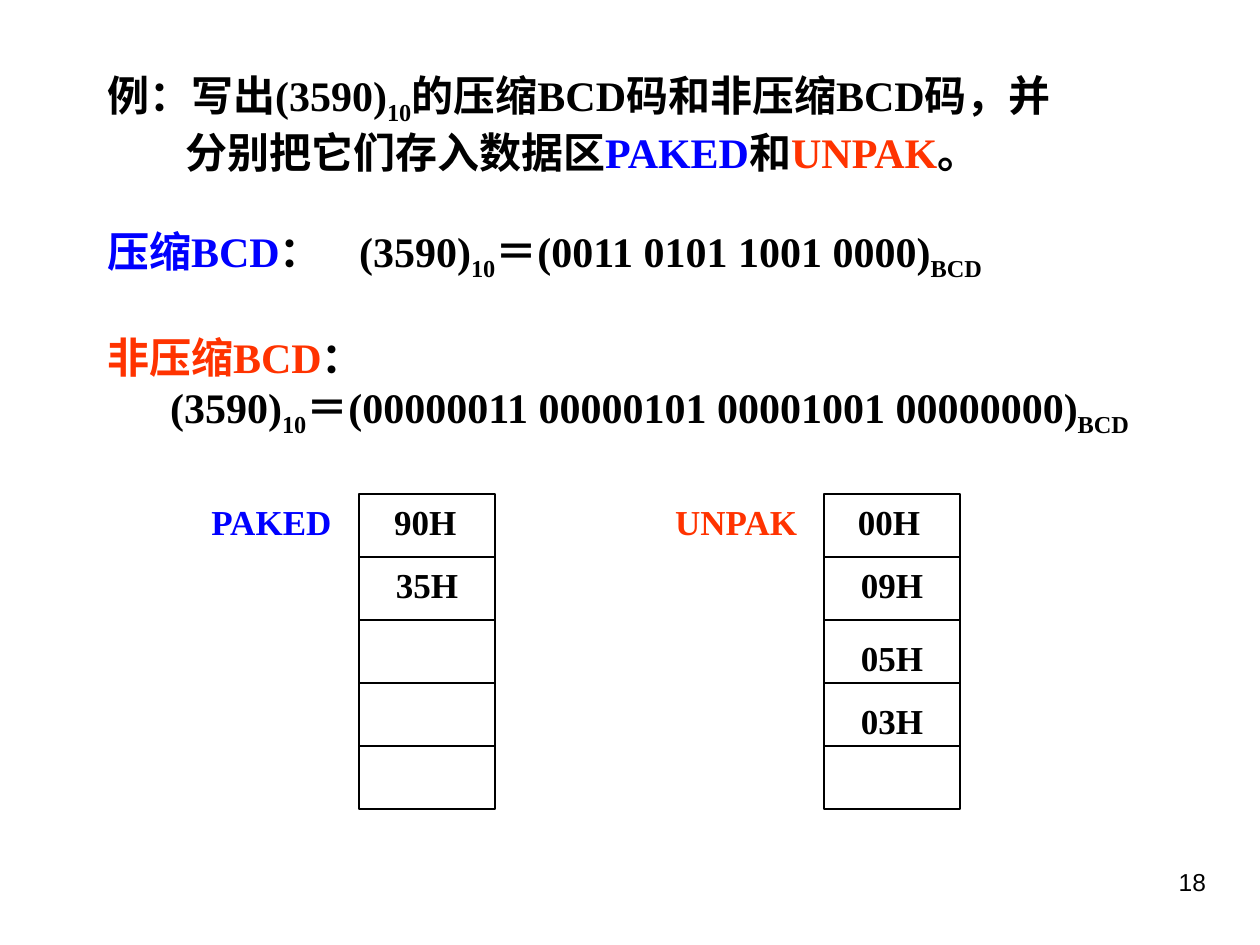
from pptx import Presentation
from pptx.dml.color import RGBColor
from pptx.enum.shapes import MSO_SHAPE as Shape
from pptx.enum.text import MSO_ANCHOR as Anchor, MSO_AUTO_SIZE as AutoSize, PP_ALIGN as Align
from pptx.util import Inches, Pt
from lxml.etree import SubElement

BLACK, BLUE, RED = "000000", "0000FF", "FF3300"
SERIF = "Times New Roman"
SUB = "sub"

# indent in inches, space before in points, spans of (text, colour, position)
LINES = [
    (0, 0, [("例：写出(3590)", BLACK), ("10", BLACK, SUB),
            ("的压缩BCD码和非压缩BCD码，并", BLACK)]),
    (0.62, 0, [("分别把它们存入数据区", BLACK), ("PAKED", BLUE), ("和", BLACK),
               ("UNPAK", RED), ("。", BLACK)]),
    (0, 27.6, [("压缩BCD", BLUE), ("：\t(3590)", BLACK), ("10", BLACK, SUB),
               ("＝(0011 0101 1001 0000)", BLACK), ("BCD", BLACK, SUB)]),
    (0, 27.6, [("非压缩BCD", RED), ("：", BLACK)]),
    (0.5, 0, [("(3590)", BLACK), ("10", BLACK, SUB),
              ("＝(00000011 00000101 00001001 00000000)", BLACK), ("BCD", BLACK, SUB)]),
]
MEMORIES = [
    {"name": "PAKED", "colour": BLUE, "left": 2.85, "label_left": 1.58,
     "values": [("90H", 0), ("35H", 0)]},
    {"name": "UNPAK", "colour": RED, "left": 6.54, "label_left": 5.26,
     "values": [("00H", 0), ("09H", 0), ("05H", 0.08), ("03H", 0.08)]},
]
CELLS, CELL_TOP, CELL_WIDTH, CELL_HEIGHT = 5, 3.92, 1.08, 0.5
VALUE_WIDTH, VALUE_HEIGHT, LABEL_WIDTH = 0.76, 0.43, 2.16


def colour(value):
    return RGBColor.from_string(value)


def add_span(para, text, hue, position=None, size=24, font=SERIF, bold=True):
    span = para.add_run()
    span.text = text
    span.font.size, span.font.name, span.font.bold = Pt(size), font, bold
    span.font.color.rgb = colour(hue)
    if position == SUB:
        span._r.get_or_add_rPr().set("baseline", "-25000")


def add_box(page, left, top, width, height, align):
    box = page.shapes.add_textbox(Inches(left), Inches(top), Inches(width), Inches(height))
    para = box.text_frame.paragraphs[0]
    para.alignment = align
    return box, para


def fill_body(body):
    body.left, body.top, body.width, body.height = map(Inches, (0.75, 0.5, 8.67, 2.9))
    frame = body.text_frame
    frame.auto_size, frame.word_wrap = AutoSize.NONE, True
    for number, (indent, gap, spans) in enumerate(LINES):
        para = frame.add_paragraph() if number else frame.paragraphs[0]
        para.space_before = Pt(gap)
        properties = para._p.get_or_add_pPr()
        properties.set("marL", str(Inches(indent)))
        properties.set("indent", "0")
        SubElement(properties, properties.tag.replace("pPr", "buNone"))
        for span in spans:
            add_span(para, *span)


def add_tab(para, position):
    properties = para._p.get_or_add_pPr()
    tabs = SubElement(properties, properties.tag.replace("pPr", "tabLst"))
    SubElement(tabs, properties.tag.replace("pPr", "tab"), pos=str(Inches(position)), algn="l")


def add_memory(page, memory):
    for row in range(CELLS):
        cell = page.shapes.add_shape(
            Shape.RECTANGLE, Inches(memory["left"]), Inches(CELL_TOP + row * CELL_HEIGHT),
            Inches(CELL_WIDTH), Inches(CELL_HEIGHT))
        cell.shadow.inherit = False
        cell.fill.background()
        cell.line.color.rgb, cell.line.width = colour(BLACK), Pt(1)
    for row, (value, drop) in enumerate(memory["values"]):
        top = CELL_TOP + row * CELL_HEIGHT + drop
        if row == 0:
            box, para = add_box(page, memory["label_left"], top, LABEL_WIDTH, VALUE_HEIGHT, Align.LEFT)
            add_tab(para, 1.45)
            add_span(para, memory["name"], memory["colour"], size=20)
            value = "\t" + value
        else:
            left = memory["left"] + (CELL_WIDTH - VALUE_WIDTH) / 2
            box, para = add_box(page, left, top, VALUE_WIDTH, VALUE_HEIGHT, Align.CENTER)
        box.text_frame.vertical_anchor = Anchor.MIDDLE
        box.text_frame.word_wrap = False
        add_span(para, value, BLACK, size=20)


def main():
    deck = Presentation()
    deck.slide_width, deck.slide_height = Inches(10), Inches(7.5)
    page = deck.slides.add_slide(deck.slide_layouts[1])
    title = page.shapes.title._element
    title.getparent().remove(title)
    fill_body(page.placeholders[1])
    for memory in MEMORIES:
        add_memory(page, memory)
    box, para = add_box(page, 7.17, 6.83, 2.5, 0.52, Align.RIGHT)
    box.text_frame.word_wrap = True
    add_span(para, "18", BLACK, size=14, font="Arial", bold=False)
    deck.save("out.pptx")


if __name__ == "__main__":
    main()
